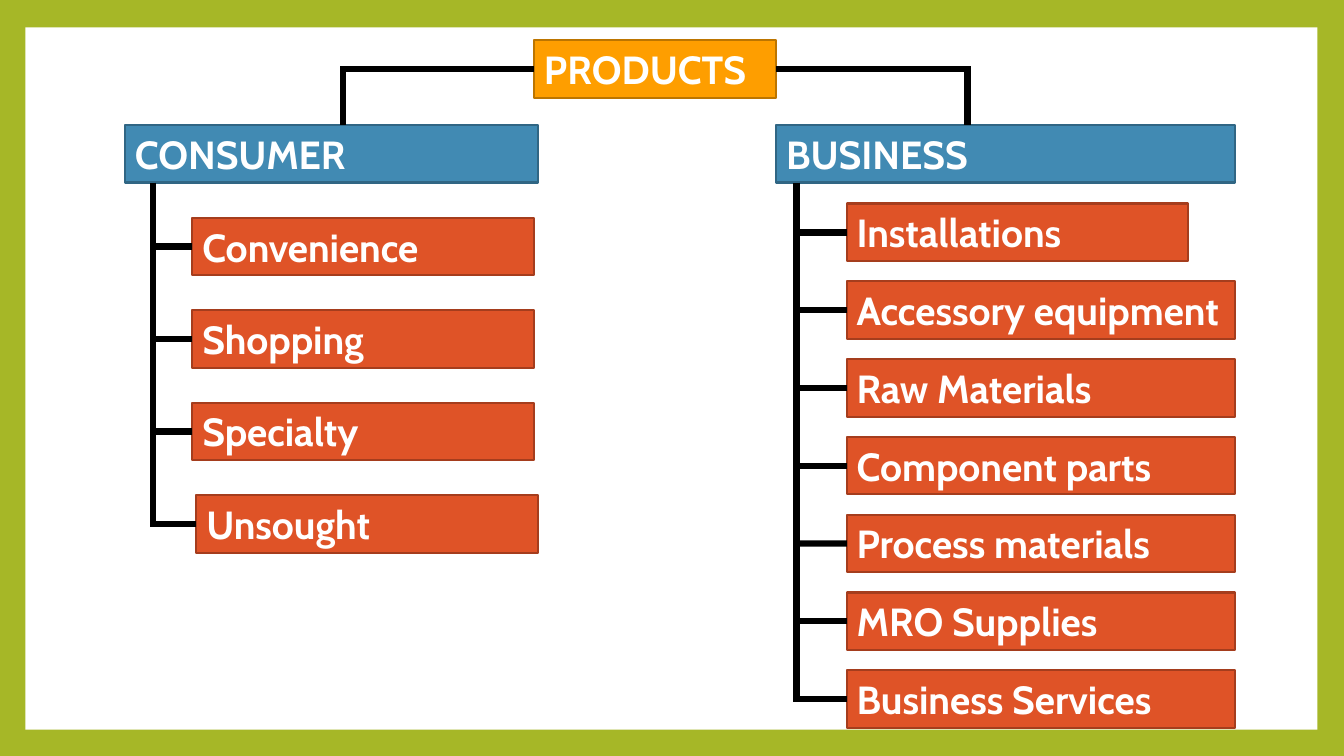
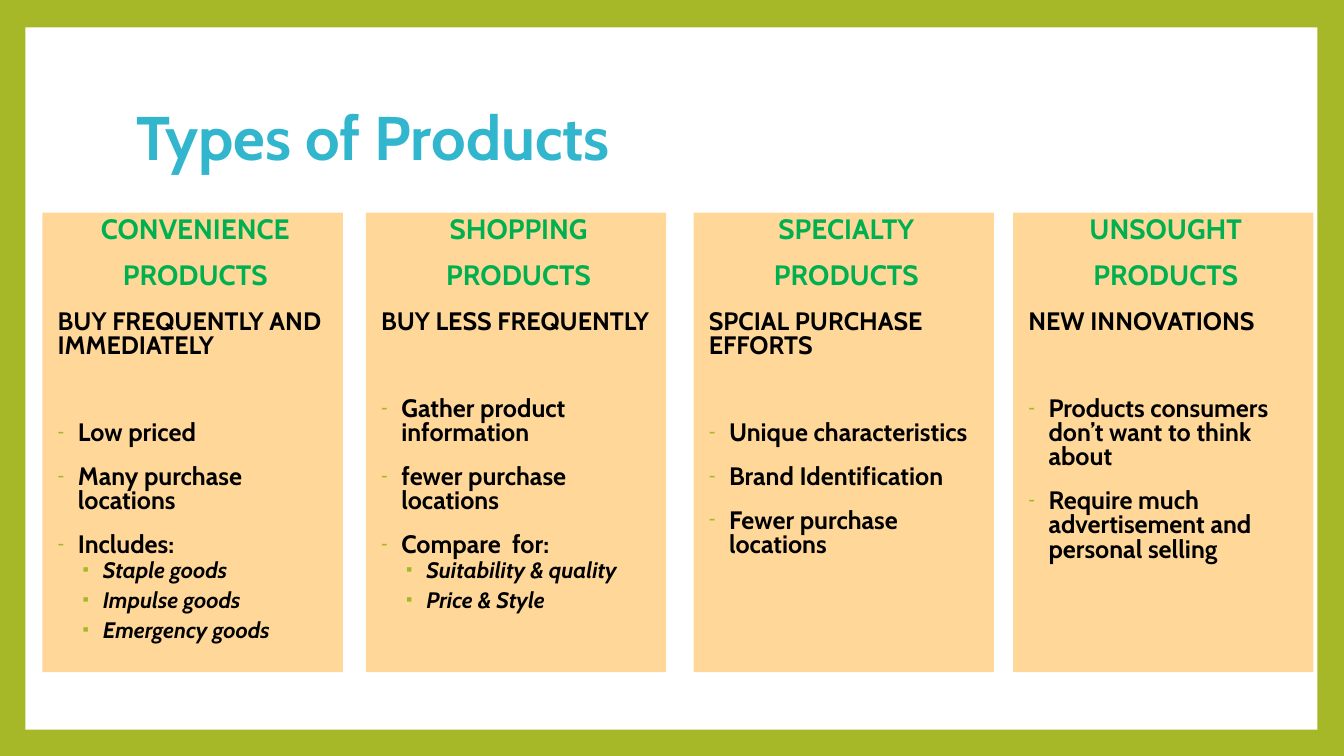
import pptx
import pptx.dml.color
import pptx.enum.shapes
import pptx.enum.text
import pptx.oxml
import pptx.oxml.ns
import pptx.util

Cm = pptx.util.Cm
Pt = pptx.util.Pt
PP_ALIGN = pptx.enum.text.PP_ALIGN
ANCHOR = pptx.enum.text.MSO_ANCHOR
AUTO_SIZE = pptx.enum.text.MSO_AUTO_SIZE
RECTANGLE = pptx.enum.shapes.MSO_SHAPE.RECTANGLE
STRAIGHT = pptx.enum.shapes.MSO_CONNECTOR.STRAIGHT
TOP, LEFT, BOTTOM, RIGHT = range(4)

FONT = "Cabin"
COLORS = {
    "frame": "A6B727", "panel": "FFFFFF", "title": "31B6CE",
    "root": "FE9E00", "root_edge": "BC7500",
    "group": "418AB3", "group_edge": "306684",
    "item": "DF5327", "item_edge": "A53D1D",
    "line": "000000", "on_box": "FFFFFF",
    "card": "FFD899", "heading": "00B050", "text": "000000",
}

BOX_HEIGHT = 1.45
LINE_WIDTH = Pt(4.5)
HALF_LINE = 0.08

GROUPS = [
    {"name": "CONSUMER", "left": 3.15, "width": 10.41, "trunk": 3.86,
     "elbow": 8.64, "root_side": LEFT, "first_top": 5.49, "pitch": 2.33,
     "items": [("Convenience", 4.85, 8.61), ("Shopping", 4.85, 8.61),
               ("Specialty", 4.85, 8.61), ("Unsought", 4.95, 8.61)]},
    {"name": "BUSINESS", "left": 19.56, "width": 11.56, "trunk": 20.07,
     "elbow": 24.38, "root_side": RIGHT, "first_top": 5.13, "pitch": 1.96,
     "items": [("Installations", 21.34, 8.61)] + [
         (name, 21.34, 9.78) for name in (
             "Accessory equipment", "Raw Materials", "Component parts",
             "Process materials", "MRO Supplies", "Business Services")]},
]
GROUP_TOP = 3.15

BASE = {"level": 0, "line_spacing": 0.8, "space_before": Pt(14),
        "space_after": Pt(0), "alignment": PP_ALIGN.LEFT}
SUB = {**BASE, "level": 1, "space_before": Pt(2), "space_after": Pt(4)}
STYLES = {
    "heading": {"paragraph": {**BASE, "alignment": PP_ALIGN.CENTER},
                "font": {"size": Pt(20)}, "color": "heading",
                "indent": (0.13, 0), "bullet": None},
    "summary": {"paragraph": BASE, "font": {"size": Pt(18)}, "color": "text",
                "indent": (0.13, 0), "bullet": None},
    "item": {"paragraph": BASE, "font": {"size": Pt(18)}, "color": "text",
             "indent": (0.64, -0.51), "bullet": "-"},
    "sub": {"paragraph": SUB, "font": {"size": Pt(16), "italic": True},
            "color": "text", "indent": (1.27, -0.51), "bullet": "▪"},
}
SUMMARY_GAP = Pt(45)

CARDS = [
    (1.07, "CONVENIENCE", "BUY FREQUENTLY AND IMMEDIATELY",
     ["Low priced", "Many purchase locations", "Includes:"],
     ["Staple goods", "Impulse goods", "Emergency goods"]),
    (9.22, "SHOPPING", "BUY LESS FREQUENTLY",
     ["Gather product information", "fewer purchase locations", "Compare  for:"],
     ["Suitability & quality", "Price & Style"]),
    (17.48, "SPECIALTY", "SPCIAL PURCHASE EFFORTS",
     ["Unique characteristics", "Brand Identification", "Fewer purchase locations"],
     []),
    (25.53, "UNSOUGHT", "NEW INNOVATIONS",
     ["Products consumers don’t want to think about",
      "Require much advertisement and personal selling"],
     []),
]


def rgb(name):
    return pptx.dml.color.RGBColor.from_string(COLORS[name])


def apply(target, values):
    for attribute, value in values.items():
        setattr(target, attribute, value)


def place(shape, left, top, width, height):
    apply(shape, {"left": Cm(left), "top": Cm(top),
                  "width": Cm(width), "height": Cm(height)})


def paint(shape, color):
    shape.fill.solid()
    shape.fill.fore_color.rgb = rgb(color)


def add_text(paragraph, text, color, **font):
    run = paragraph.add_run()
    run.text = text
    apply(run.font, {"name": FONT, "bold": True, **font})
    run.font.color.rgb = rgb(color)


def add_rectangle(slide, left, top, width, height, color):
    rectangle = slide.shapes.add_shape(
        RECTANGLE, Cm(left), Cm(top), Cm(width), Cm(height))
    rectangle.shadow.inherit = False
    paint(rectangle, color)
    return rectangle


def add_box(slide, text, left, top, width, kind):
    box = add_rectangle(slide, left, top, width, BOX_HEIGHT, kind)
    box.line.color.rgb = rgb(kind + "_edge")
    box.line.width = Pt(1.5)
    apply(box.text_frame, {"word_wrap": True, "vertical_anchor": ANCHOR.TOP,
                           "auto_size": AUTO_SIZE.SHAPE_TO_FIT_TEXT})
    label = box.text_frame.paragraphs[0]
    label.alignment = PP_ALIGN.LEFT
    add_text(label, text, "on_box", size=Pt(28))
    return box


def add_line(slide, start, end):
    line = slide.shapes.add_connector(STRAIGHT, *map(Cm, start + end))
    line.line.color.rgb = rgb("line")
    line.line.width = LINE_WIDTH
    properties = line.element.spPr
    properties.append(properties.makeelement(pptx.oxml.ns.qn("a:effectLst"), {}))
    return line


def set_bullet(paragraph, indent, bullet):
    """Set the hanging indent in cm and the marker; None turns the marker off."""
    properties = paragraph._p.get_or_add_pPr()
    for attribute, length in zip(("marL", "indent"), indent):
        properties.set(attribute, str(int(Cm(length))))
    if bullet:
        marks = [f'<a:buClr {{}}><a:srgbClr val="{COLORS["frame"]}"/></a:buClr>',
                 '<a:buSzPct {} val="80000"/>', f'<a:buChar {{}} char="{bullet}"/>']
    else:
        marks = ["<a:buNone {}/>"]
    for mark in marks:
        properties.append(pptx.oxml.parse_xml(
            mark.format(pptx.oxml.ns.nsdecls("a"))))


def set_up_master(presentation, slide):
    """Give the master its coloured frame and white panel."""
    master = presentation.slide_master
    background = master.background.fill
    background.solid()
    background.fore_color.rgb = rgb("frame")
    panel = add_rectangle(slide, 0.64, 0.69, 32.56, 17.7, "panel")
    panel.line.fill.background()
    master.element.cSld.spTree.insert(2, panel.element)


def add_group(slide, root, group):
    """Draw one branch of the tree: its header, items and lines."""
    add_box(slide, group["name"], group["left"], GROUP_TOP, group["width"], "group")
    root_middle = (root.top + root.height / 2) / Cm(1)
    elbow, trunk = group["elbow"], group["trunk"]
    arm = add_line(slide, (elbow, root_middle), (elbow, root_middle))
    arm.end_connect(root, group["root_side"])
    add_line(slide, (elbow, root_middle - HALF_LINE), (elbow, GROUP_TOP))

    for row, (name, left, width) in enumerate(group["items"]):
        top = group["first_top"] + row * group["pitch"]
        middle = top + BOX_HEIGHT / 2
        item = add_box(slide, name, left, top, width, "item")
        branch = add_line(slide, (trunk, middle), (left, middle))
        branch.end_connect(item, LEFT)
    add_line(slide, (trunk, GROUP_TOP + BOX_HEIGHT), (trunk, middle + HALF_LINE))


def build_tree(slide):
    root = add_box(slide, "PRODUCTS", 13.46, 1.02, 6.1, "root")
    for group in GROUPS:
        add_group(slide, root, group)


def fill_title(title, text):
    place(title, 3.18, 1.7, 27.43, 3.66)
    title.text_frame.vertical_anchor = ANCHOR.MIDDLE
    paragraph = title.text_frame.paragraphs[0]
    apply(paragraph, {"alignment": PP_ALIGN.LEFT, "line_spacing": 0.9})
    add_text(paragraph, text, "title", size=Pt(44))


def fill_card(body, left, kind, summary, items, subitems):
    place(body, left, 5.36, 7.57, 11.58)
    paint(body, "card")
    frame = body.text_frame
    apply(frame, {"word_wrap": True, "vertical_anchor": ANCHOR.TOP,
                  "auto_size": AUTO_SIZE.NONE})
    rows = [("heading", kind), ("heading", "PRODUCTS"), ("summary", summary)]
    first_item = len(rows)
    rows += [("item", text) for text in items] + [("sub", text) for text in subitems]
    for index, (style_name, text) in enumerate(rows):
        style = STYLES[style_name]
        paragraph = frame.add_paragraph() if index else frame.paragraphs[0]
        set_bullet(paragraph, style["indent"], style["bullet"])
        apply(paragraph, style["paragraph"])
        add_text(paragraph, text, style["color"], **style["font"])
    frame.paragraphs[0].space_before = Pt(0)
    frame.paragraphs[first_item].space_before = SUMMARY_GAP


def build_types(slide):
    title, *bodies = slide.placeholders
    fill_title(title, "Types of Products")
    for body, card in zip(bodies, CARDS):
        fill_card(body, *card)


def main():
    presentation = pptx.Presentation()
    apply(presentation, {"slide_width": Cm(33.87), "slide_height": Cm(19.05)})
    layouts = presentation.slide_layouts
    tree = presentation.slides.add_slide(layouts.get_by_name("Blank"))
    types_of_products = presentation.slides.add_slide(
        layouts.get_by_name("Comparison"))
    set_up_master(presentation, tree)
    build_tree(tree)
    build_types(types_of_products)
    presentation.save("out.pptx")


if __name__ == "__main__":
    main()
